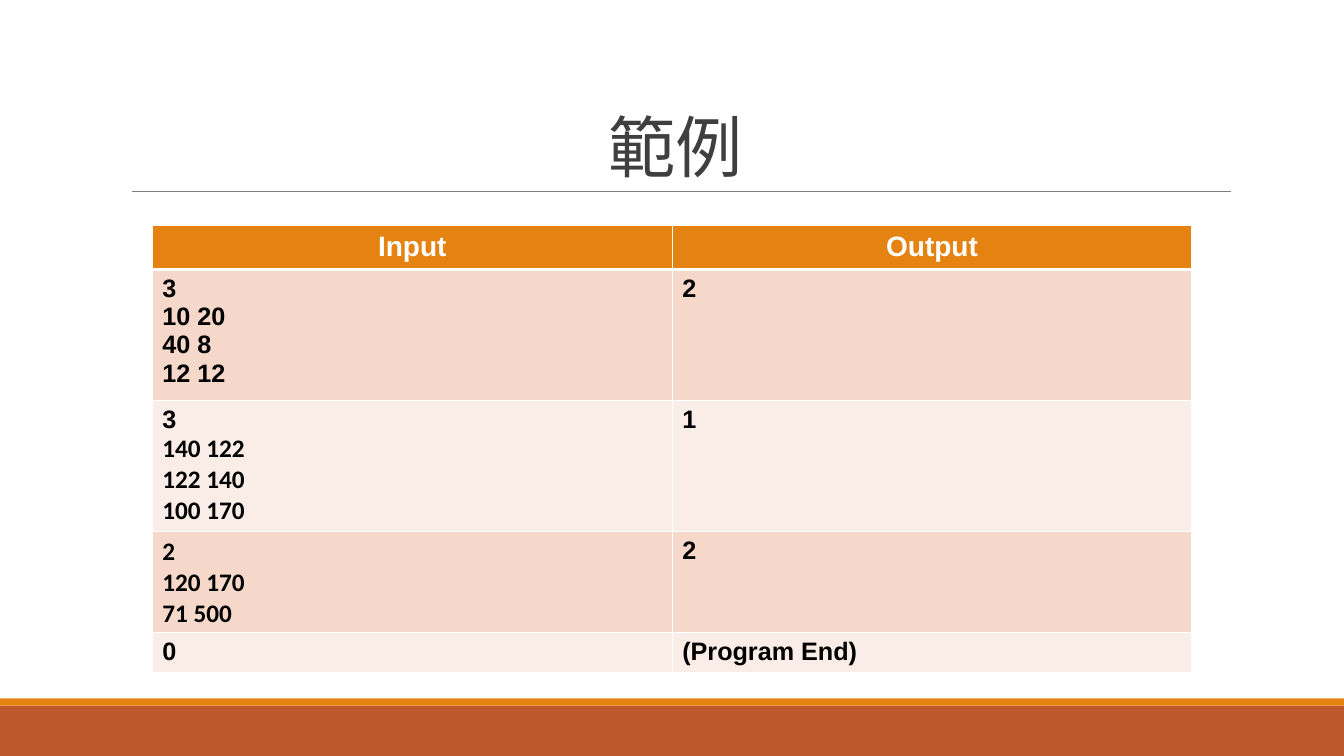
from lxml.etree import SubElement
from pptx import Presentation
from pptx.dml.color import RGBColor
from pptx.enum.shapes import MSO_CONNECTOR as Connector, MSO_SHAPE as Shape
from pptx.enum.text import MSO_ANCHOR as Anchor, PP_ALIGN as Align
from pptx.oxml.ns import qn
from pptx.util import Cm, Pt

SLIDE_WIDTH = Cm(33.87)
ORANGE = "E48312"
RUST = "BD582C"
WHITE = "FFFFFF"
BANDS = ["F5D8CA", "FAECE6"]

HEADER = ["Input", "Output"]
ROW_HEIGHTS = [0.97, 3.1, 3.1, 2.39, 0.97]
EXAMPLES = [
    ("3\n10 20\n40 8\n12 12", "2"),
    ("3\n140 122\v122 140\v100 170", "1"),
    ("2\v120 170\v71 500", "2"),
    ("0", "(Program End)"),
]


def color(value):
    return RGBColor.from_string(value)


def format_paragraph(paragraph, font_name, size, text_color, bold=False):
    for run in paragraph.runs:
        run.font.name = font_name
        run.font.size = Pt(size)
        run.font.bold = bold
        run.font.color.rgb = color(text_color)


def add_bar(slide, top, height, fill):
    shape = slide.shapes.add_shape(Shape.RECTANGLE, 0, top, SLIDE_WIDTH, height)
    shape.shadow.inherit = False
    shape.fill.solid()
    shape.fill.fore_color.rgb = color(fill)
    shape.line.fill.background()


def add_rule(slide, left, right, top):
    rule = slide.shapes.add_connector(Connector.STRAIGHT, left, top, right, top)
    rule.line.color.rgb = color("7F7F7F")
    rule.line.width = Pt(0.75)
    SubElement(rule._element.spPr, qn("a:effectLst"))


def add_title(slide, text):
    box = slide.shapes.add_textbox(Cm(3.05), Cm(0.79), Cm(27.94), Cm(4.04))
    text_frame = box.text_frame
    text_frame.word_wrap = True
    text_frame.vertical_anchor = Anchor.BOTTOM
    text_frame.text = text
    paragraph = text_frame.paragraphs[0]
    paragraph.alignment = Align.CENTER
    paragraph.line_spacing = 0.85
    format_paragraph(paragraph, "Calibri", 48, "3F3F3F")


def set_borders(cell, top=1, bottom=1):
    properties = cell._tc.get_or_add_tcPr()
    for side, width in zip("LRTB", (1, 1, top, bottom)):
        line = SubElement(properties, qn(f"a:ln{side}"), w=str(Pt(width)))
        fill = SubElement(line, qn("a:solidFill"))
        SubElement(fill, qn("a:srgbClr"), val=WHITE)


def fill_cell(cell, text, fill):
    cell.fill.solid()
    cell.fill.fore_color.rgb = color(fill)
    cell.text_frame.text = text


def add_example_table(slide):
    frame = slide.shapes.add_table(
        len(ROW_HEIGHTS), len(HEADER), Cm(3.84), Cm(5.69), Cm(26.2), Cm(sum(ROW_HEIGHTS))
    )
    table = frame.table
    for row, height in zip(table.rows, ROW_HEIGHTS):
        row.height = Cm(height)
    for cell, text in zip(table.rows[0].cells, HEADER):
        set_borders(cell, bottom=3)
        fill_cell(cell, text, ORANGE)
        paragraph = cell.text_frame.paragraphs[0]
        paragraph.alignment = Align.CENTER
        format_paragraph(paragraph, "Arial", 20, WHITE, bold=True)
    for index, example in enumerate(EXAMPLES):
        for cell, text in zip(table.rows[index + 1].cells, example):
            set_borders(cell, top=3 if index == 0 else 1)
            fill_cell(cell, text, BANDS[index % 2])
            for paragraph in cell.text_frame.paragraphs:
                font_name = "Calibri" if "\v" in paragraph.text else "Arial"
                format_paragraph(paragraph, font_name, 18, "000000", bold=True)


def main():
    presentation = Presentation()
    presentation.slide_width = SLIDE_WIDTH
    presentation.slide_height = Cm(19.05)
    slide = presentation.slides.add_slide(presentation.slide_layouts[6])
    add_bar(slide, Cm(17.78), Cm(1.27), RUST)
    add_bar(slide, Cm(17.6), Cm(0.18), ORANGE)
    add_rule(slide, Cm(3.33), Cm(31.01), Cm(4.83))
    add_title(slide, "範例")
    add_example_table(slide)
    presentation.save("out.pptx")


if __name__ == "__main__":
    main()
